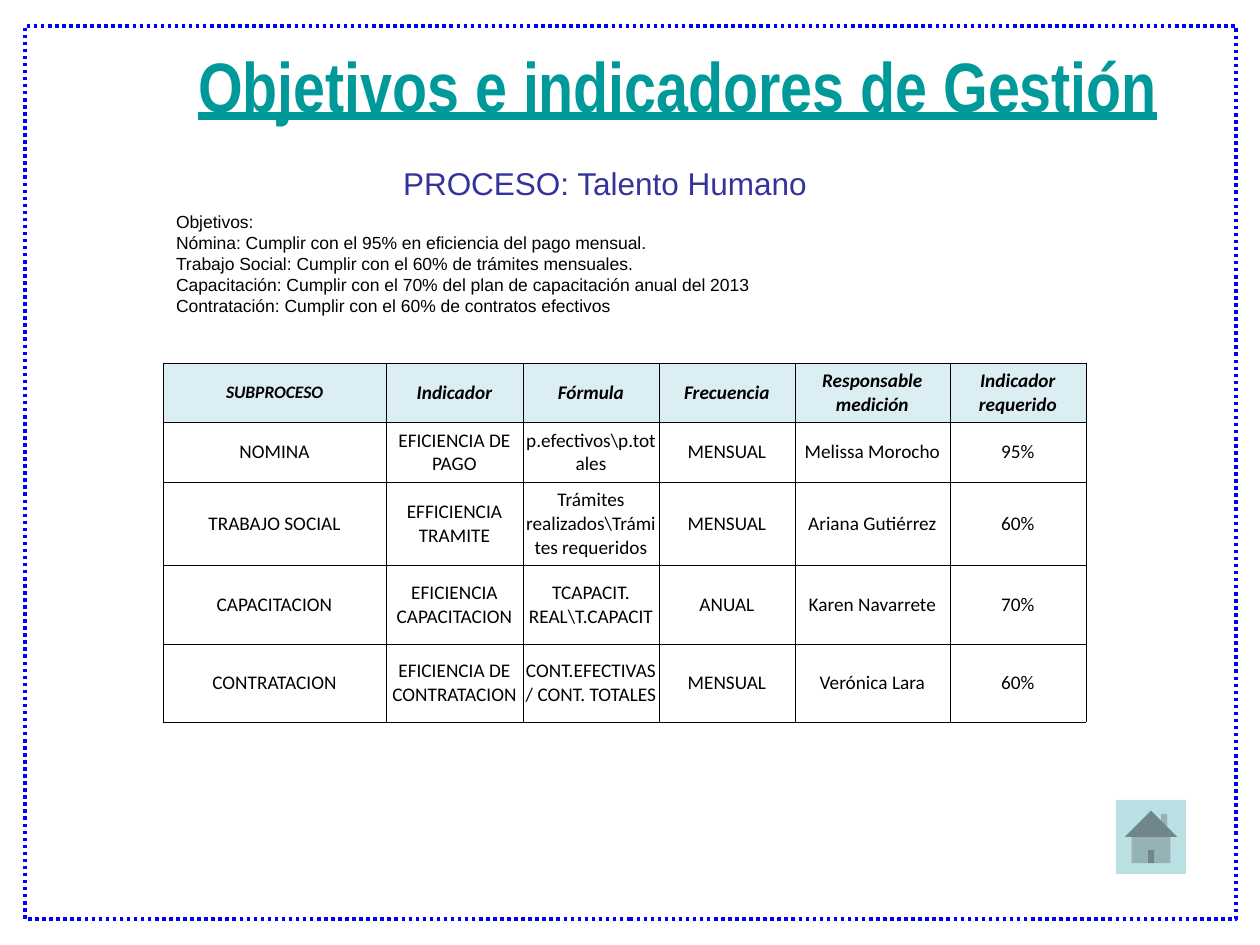
"""Build the slide of management objectives and indicators for human talent."""
from typing import NamedTuple

from lxml import etree
from pptx import Presentation
from pptx.dml.color import RGBColor
from pptx.enum.dml import MSO_LINE
from pptx.enum.shapes import MSO_SHAPE
from pptx.enum.text import MSO_ANCHOR, MSO_AUTO_SIZE, PP_ALIGN
from pptx.oxml import parse_xml
from pptx.oxml.ns import nsdecls, qn
from pptx.util import Pt

LEFT, CENTER = PP_ALIGN.LEFT, PP_ALIGN.CENTER
TOP, MIDDLE = MSO_ANCHOR.TOP, MSO_ANCHOR.MIDDLE
FIXED = MSO_AUTO_SIZE.NONE
RECT, HOME = MSO_SHAPE.RECTANGLE, MSO_SHAPE.ACTION_BUTTON_HOME
DOTS = MSO_LINE.ROUND_DOT

COLORS = {
    "frame": "0000FF",
    "title": "009999",
    "process": "333399",
    "text": "000000",
    "head": "DBEEF3",
    "button": "BBE0E3",
}


class Box(NamedTuple):
    x: int
    y: int
    w: int
    h: int


class Column(NamedTuple):
    head: str
    width: int
    size: int = 11


class Process(NamedTuple):
    height: int
    name: str
    measure: str
    formula: str
    period: str
    owner: str
    target: str


COLUMNS = [
    Column("SUBPROCESO", 223, 10),
    Column("Indicador", 137),
    Column("Fórmula", 136),
    Column("Frecuencia", 136),
    Column("Responsable medición", 155),
    Column("Indicador requerido", 136),
]
ROWS = [
    Process(59, "NOMINA", "EFICIENCIA DE PAGO", "p.efectivos\\p.totales",
            "MENSUAL", "Melissa Morocho", "95%"),
    Process(82, "TRABAJO SOCIAL", "EFFICIENCIA TRAMITE",
            "Trámites realizados\\Trámites requeridos",
            "MENSUAL", "Ariana Gutiérrez", "60%"),
    Process(79, "CAPACITACION", "EFICIENCIA CAPACITACION",
            "TCAPACIT. REAL\\T.CAPACIT", "ANUAL", "Karen Navarrete", "70%"),
    Process(78, "CONTRATACION", "EFICIENCIA DE CONTRATACION",
            "CONT.EFECTIVAS/ CONT. TOTALES",
            "MENSUAL", "Verónica Lara", "60%"),
]
HEAD = 59
GOALS = [
    "Objetivos:",
    "Nómina: Cumplir con el 95% en eficiencia del pago mensual.",
    "Trabajo Social: Cumplir con el 60% de trámites mensuales.",
    "Capacitación: Cumplir con el 70% del plan de capacitación anual del 2013",
    "Contratación: Cumplir con el 60% de contratos efectivos",
]


def px(n: int) -> int:
    return round(n * 914400 / 126)


def place(box: Box) -> list[int]:
    return [px(n) for n in box]


def color(name: str) -> RGBColor:
    return RGBColor.from_string(COLORS[name])


def write(frame, text: str, *, size: int, font: str = "Arial",
          hue: str = "text", align=LEFT, bold: bool = False,
          italic: bool = False, under: bool = False) -> None:
    frame.word_wrap = True
    frame.text = text
    for para in frame.paragraphs:
        para.alignment = align
        for run in para.runs:
            face = run.font
            face.name, face.size = font, Pt(size)
            face.bold, face.italic, face.underline = bold, italic, under
            face.color.rgb = color(hue)


def inset(frame) -> None:
    frame.auto_size, frame.vertical_anchor = FIXED, TOP
    frame.margin_left = frame.margin_right = 0
    frame.margin_top = frame.margin_bottom = 0


def add_title(slide) -> None:
    title = slide.shapes.title
    title.left, title.top, title.width, title.height = place(
        Box(54, 42, 1160, 82))
    frame = title.text_frame
    inset(frame)
    write(frame, "\tObjetivos e indicadores de Gestión", size=40,
          font="Arial Narrow", hue="title", bold=True, under=True)
    props = frame.paragraphs[0]._p.get_or_add_pPr()
    tabs = etree.SubElement(props, qn("a:tabLst"))
    etree.SubElement(tabs, qn("a:tab"), pos=str(px(144)), algn="l")


def add_text(slide, box: Box, text: str, **style) -> None:
    frame = slide.shapes.add_textbox(*place(box)).text_frame
    inset(frame)
    write(frame, text, **style)


def add_shape(slide, kind, box: Box):
    shape = slide.shapes.add_shape(kind, *place(box))
    shape.shadow.inherit = False
    return shape


def edge(cell) -> None:
    props = cell._tc.get_or_add_tcPr()
    for spot, side in enumerate("LRTB"):
        props.insert(spot, parse_xml(
            f'<a:ln{side} {nsdecls("a")} w="{Pt(0.25)}"><a:solidFill>'
            f'<a:srgbClr val="{COLORS["text"]}"/></a:solidFill></a:ln{side}>'))


def fill_cell(cell, text: str, size: int, head: bool) -> None:
    cell.margin_left = cell.margin_right = px(1)
    cell.margin_top = cell.margin_bottom = px(6)
    cell.vertical_anchor = MIDDLE
    write(cell.text_frame, text, size=size, font="Calibri", align=CENTER,
          bold=head, italic=head)
    if head:
        cell.fill.solid()
        cell.fill.fore_color.rgb = color("head")
    else:
        cell.fill.background()
    edge(cell)


def add_grid(slide) -> None:
    heights = [HEAD] + [row.height for row in ROWS]
    box = Box(163, 363, sum(col.width for col in COLUMNS), sum(heights))
    table = slide.shapes.add_table(
        len(heights), len(COLUMNS), *place(box)).table
    table.first_row = table.horz_banding = False
    for row, height in zip(table.rows, heights):
        row.height = px(height)
    for c, col in enumerate(COLUMNS):
        table.columns[c].width = px(col.width)
        fill_cell(table.cell(0, c), col.head, col.size, True)
        for r, row in enumerate(ROWS, 1):
            fill_cell(table.cell(r, c), row[c + 1], 11, False)


def main() -> None:
    deck = Presentation()
    deck.slide_width, deck.slide_height = px(1260), px(945)
    slide = deck.slides.add_slide(deck.slide_layouts[5])

    frame = add_shape(slide, RECT, Box(25, 26, 1211, 893))
    frame.fill.background()
    frame.line.color.rgb = color("frame")
    frame.line.width, frame.line.dash_style = Pt(2), DOTS

    home = add_shape(slide, HOME, Box(1116, 800, 70, 74))
    home.fill.solid()
    home.fill.fore_color.rgb = color("button")
    home.line.fill.background()

    add_title(slide)
    add_text(slide, Box(0, 164, 1210, 38), "PROCESO: Talento Humano",
             size=18, hue="process", align=CENTER)
    add_grid(slide)
    add_text(slide, Box(176, 211, 976, 106), "\n".join(GOALS), size=10)
    deck.save("out.pptx")


if __name__ == "__main__":
    main()
